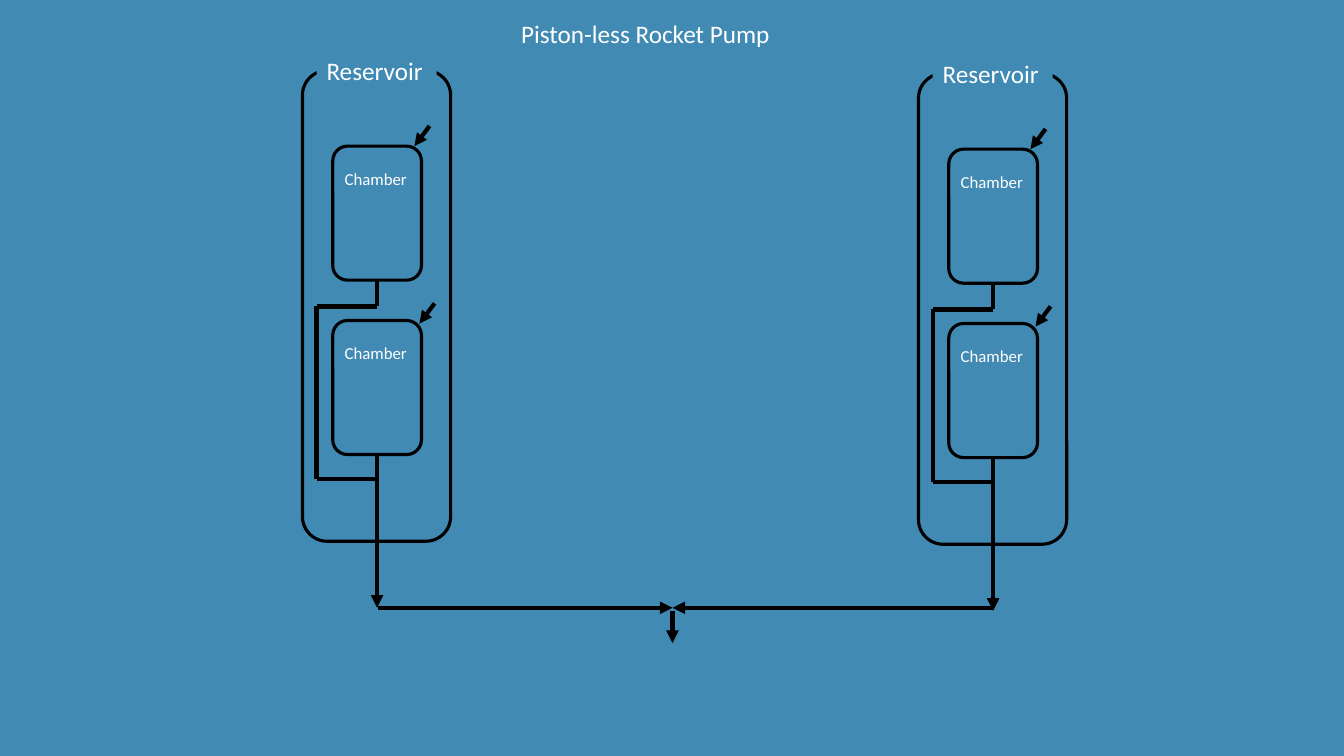
from typing import NamedTuple, Optional

from pptx import Presentation
from pptx.dml.color import RGBColor
from pptx.enum.shapes import MSO_CONNECTOR as Connector, MSO_SHAPE as Preset
from pptx.oxml.ns import qn
from pptx.shapes.autoshape import Shape
from pptx.shapes.shapetree import GroupShapes, SlideShapes
from pptx.util import Emu, Pt
from lxml.etree import SubElement

PX = 9144  # 100 px to the inch
BLUE = RGBColor(0x41, 0x8A, 0xB3)
BLACK = RGBColor(0x00, 0x00, 0x00)
WHITE = RGBColor(0xFF, 0xFF, 0xFF)
FONT = "Calibri"

Shapes = SlideShapes | GroupShapes


class Box(NamedTuple):
    left: int
    top: int
    width: int
    height: int

    def moved(self, dx: int, dy: int) -> "Box":
        return Box(self.left + dx, self.top + dy, self.width, self.height)


class Pipe(NamedTuple):
    x1: int
    y1: int
    x2: int
    y2: int
    arrow: bool = False
    chamber: Optional[int] = None  # chamber whose bottom the pipe leaves

    def moved(self, dx: int, dy: int) -> "Pipe":
        return self._replace(x1=self.x1 + dx, y1=self.y1 + dy,
                             x2=self.x2 + dx, y2=self.y2 + dy)


# Left tank; the right one is the same, shifted
TANK_SHIFTS = [(0, 0), (611, 3)]
RESERVOIR = Box(300, 70, 147, 467)
RESERVOIR_LABEL = Box(314, 50, 119, 40)
CHAMBER = Box(330, 145, 88, 133)
CHAMBER_LABEL = Box(332, 162, 83, 30)
CHAMBER_STEP = 173
TANK_PIPES = [
    Pipe(374, 304, 314, 304),
    Pipe(374, 451, 374, 603, arrow=True, chamber=1),
    Pipe(374, 278, 374, 304, chamber=0),
    Pipe(314, 475, 314, 304),
    Pipe(374, 475, 314, 475),
    Pipe(426, 125, 411, 145, arrow=True),
    Pipe(431, 301, 416, 321, arrow=True),
]
OUTLET_PIPES = [
    Pipe(375, 603, 667, 603, arrow=True),
    Pipe(985, 603, 667, 603, arrow=True),
    Pipe(667, 606, 667, 638, arrow=True),
]


def px(*lengths: int) -> list[Emu]:
    return [Emu(length * PX) for length in lengths]


def add_label(shapes: Shapes, box: Box, text: str, *, size: int = 18,
              color: RGBColor = WHITE, fill: RGBColor = BLUE) -> None:
    label = shapes.add_textbox(*px(*box))
    label.fill.solid()
    label.fill.fore_color.rgb = fill
    label.text_frame.word_wrap = True
    span = label.text_frame.paragraphs[0].add_run()
    span.text = text
    span.font.name = FONT
    span.font.size = Pt(size)
    span.font.color.rgb = color


def add_vessel(shapes: Shapes, box: Box) -> Shape:
    vessel = shapes.add_shape(Preset.ROUNDED_RECTANGLE, *px(*box))
    vessel.shadow.inherit = False
    vessel.fill.background()
    vessel.line.color.rgb = BLACK
    vessel.line.width = Pt(2.25)
    return vessel


def add_pipe(shapes: Shapes, pipe: Pipe, source: Optional[Shape] = None) -> None:
    ends = px(pipe.x1, pipe.y1, pipe.x2, pipe.y2)
    connector = shapes.add_connector(Connector.STRAIGHT, *ends)
    connector.line.color.rgb = BLACK
    connector.line.width = Pt(3)
    if pipe.arrow:
        SubElement(connector.line._get_or_add_ln(), qn("a:tailEnd"), type="triangle")
    SubElement(connector._element.spPr, qn("a:effectLst"))
    if source is not None:
        connector.begin_connect(source, 2)


def add_tank(shapes: Shapes, dx: int, dy: int) -> None:
    tank = shapes.add_group_shape().shapes
    add_vessel(tank, RESERVOIR.moved(dx, dy))
    add_label(tank, RESERVOIR_LABEL.moved(dx, dy), "Reservoir")
    chambers = []
    for row in range(2):
        drop = dy + row * CHAMBER_STEP
        chambers.append(add_vessel(tank, CHAMBER.moved(dx, drop)))
        add_label(tank, CHAMBER_LABEL.moved(dx, drop), "Chamber", size=12)
    for pipe in TANK_PIPES:
        source = None if pipe.chamber is None else chambers[pipe.chamber]
        add_pipe(tank, pipe.moved(dx, dy), source)


def main() -> None:
    deck = Presentation()
    deck.slide_width, deck.slide_height = px(1333, 750)
    page = deck.slides.add_slide(deck.slide_layouts[6])
    page.background.fill.solid()
    page.background.fill.fore_color.rgb = BLUE

    # Title
    add_label(page.shapes, Box(507, 13, 285, 40), "Piston-less Rocket Pump")

    # Two tanks, each with a pair of chambers
    for dx, dy in TANK_SHIFTS:
        add_tank(page.shapes, dx, dy)

    # Shared outlet
    for pipe in OUTLET_PIPES:
        add_pipe(page.shapes, pipe)

    deck.save("out.pptx")


if __name__ == "__main__":
    main()
